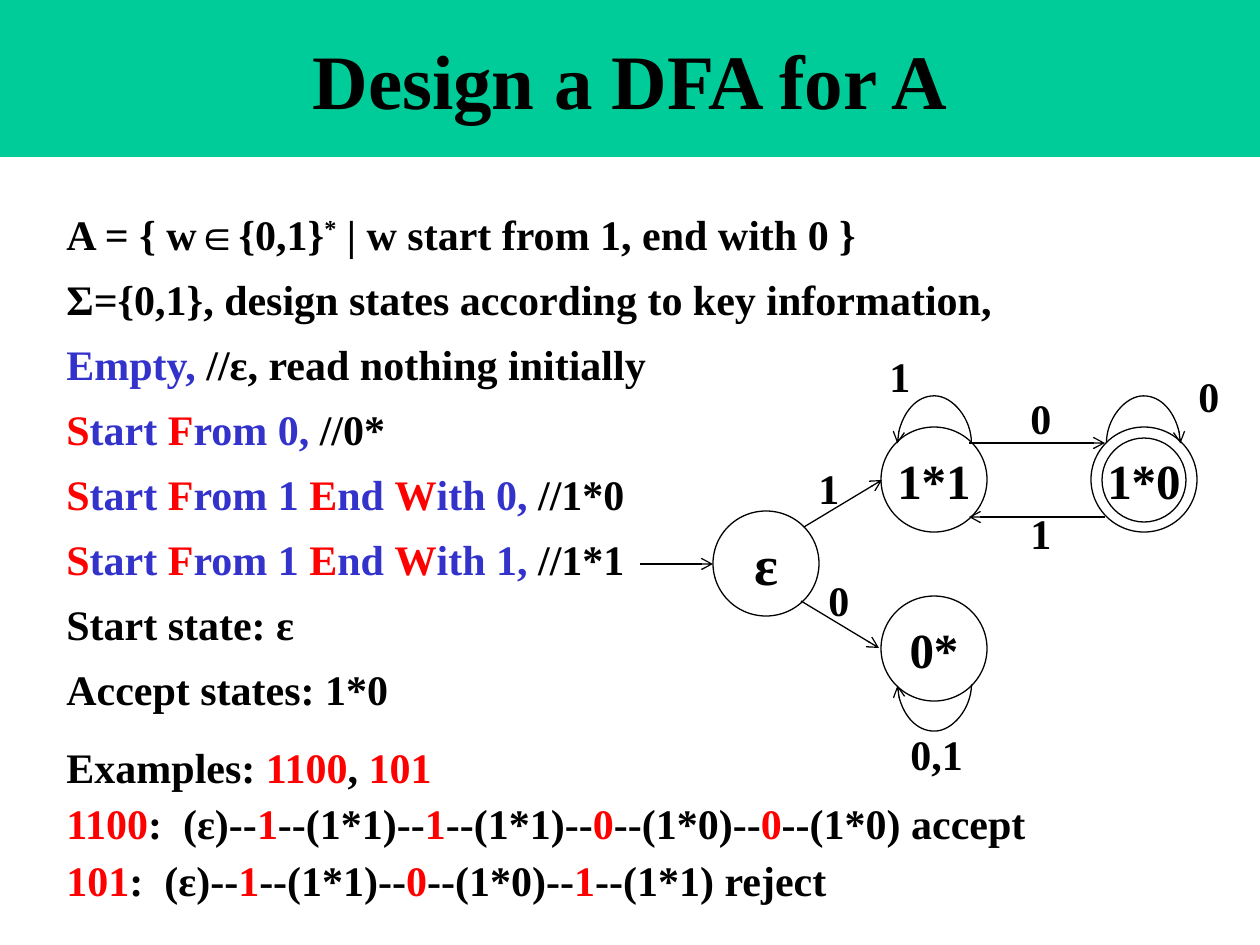
from itertools import groupby

from lxml.etree import SubElement
from pptx import Presentation
from pptx.dml.color import RGBColor
from pptx.enum.shapes import MSO_CONNECTOR as LINK, MSO_SHAPE as SHAPE
from pptx.enum.text import MSO_ANCHOR as ANCHOR, MSO_AUTO_SIZE as FIT, PP_ALIGN as ALIGN
from pptx.oxml.ns import qn
from pptx.util import Emu, Pt

COLORS = {"banner": "00CC99", "ink": "000000", "key": "3333CC", "accent": "FF0000"}
FONT = "Times New Roman"
STATE_W, STATE_H = 106, 105
LOOP_HALF, LOOP_BULGE = 37, 47


def px(length):
    return Emu(round(length * 914400 / 126))


def color(name):
    return RGBColor.from_string(COLORS[name])


def add_run(paragraph, text, size, tint="ink", raised=False):
    run = paragraph.add_run()
    run.text = text
    run.font.name = FONT
    run.font.size = Pt(size)
    run.font.bold = True
    run.font.color.rgb = color(tint)
    if raised:
        run.font._element.set("baseline", "30000")


def add_text(slide, box, lines, gap=0, wrap=False):
    frame = slide.shapes.add_textbox(*map(px, box)).text_frame
    frame.word_wrap = wrap
    frame.auto_size = FIT.SHAPE_TO_FIT_TEXT
    for index, pieces in enumerate(lines):
        paragraph = frame.paragraphs[0] if index == 0 else frame.add_paragraph()
        if index:
            paragraph.space_before = Pt(gap)
        for piece in pieces:
            add_run(paragraph, piece[0], 24, *piece[1:])


def add_label(slide, left, top, text, width=57):
    add_text(slide, (left, top, width, 63), [[(text,)]])


def add_banner(slide, title):
    banner = slide.shapes.add_shape(SHAPE.RECTANGLE, 0, 0, px(1260), px(157))
    banner.shadow.inherit = False
    banner.fill.solid()
    banner.fill.fore_color.rgb = color("banner")
    banner.line.fill.background()
    banner.text_frame.vertical_anchor = ANCHOR.MIDDLE
    paragraph = banner.text_frame.paragraphs[0]
    paragraph.alignment = ALIGN.CENTER
    add_run(paragraph, title, 44)


def add_circle(slide, left, top, width, height):
    circle = slide.shapes.add_shape(SHAPE.OVAL, px(left), px(top), px(width), px(height))
    circle.shadow.inherit = False
    circle.fill.background()
    circle.line.color.rgb = color("ink")
    circle.line.width = Pt(0.75)
    return circle


def add_state(slide, left, top, name, size=28):
    frame = add_circle(slide, left, top, STATE_W, STATE_H).text_frame
    frame.margin_left = frame.margin_right = frame.margin_top = frame.margin_bottom = 0
    frame.word_wrap = False
    frame.vertical_anchor = ANCHOR.MIDDLE
    frame.paragraphs[0].alignment = ALIGN.CENTER
    add_run(frame.paragraphs[0], name, size)


def add_arrow(slide, start, end, kind=LINK.STRAIGHT):
    arrow = slide.shapes.add_connector(kind, *map(px, (*start, *end)))
    arrow.line.color.rgb = color("ink")
    arrow.line.width = Pt(0.75)
    SubElement(arrow.line._get_or_add_ln(), qn("a:tailEnd"), type="arrow")
    SubElement(arrow._element.spPr, qn("a:effectLst"))
    return arrow


def add_loop(slide, x, y, from_right, above):
    turn = 270 if from_right and above else 90
    half = LOOP_HALF if above else -LOOP_HALF
    begin_x, end_x = (x + 1, x) if turn == 270 else (x, x + 1)
    loop = add_arrow(slide, (begin_x, y + half), (end_x, y - half), LINK.CURVE)
    properties = loop._element.spPr
    properties.find(qn("a:xfrm")).set("rot", str(turn * 60000))
    adjustments = properties.find(qn("a:prstGeom")).get_or_add_avLst()
    bulge = -LOOP_BULGE if above else LOOP_BULGE
    SubElement(adjustments, qn("a:gd"), name="adj1", fmla=f"val {bulge * 100000}")


def key_line(phrase, note):
    groups = ((upper, "".join(letters)) for upper, letters in groupby(phrase, str.isupper))
    return [(text, "accent" if upper else "key") for upper, text in groups] + [(note,)]


def trace_line(word, states, verdict):
    pieces = [(word, "accent"), (":  (ε)--",)]
    for index, (symbol, state) in enumerate(zip(word, states), 1):
        ending = f" {verdict}" if index == len(word) else "--"
        pieces += [(symbol, "accent"), (f"--({state}){ending}",)]
    return pieces


def add_design_notes(slide):
    add_text(slide, (54, 202, 968, 515), [
        [("A = { w∈{0,1}",), ("*", "ink", True), (" | w start from 1, end with 0 }",)],
        [("Σ={0,1}, design states according to key information,",)],
        [("Empty, ", "key"), ("//ε, read nothing initially",)],
        key_line("Start From 0, ", "//0*"),
        key_line("Start From 1 End With 0, ", "//1*0"),
        key_line("Start From 1 End With 1, ", "//1*1"),
        [("Start state: ε",)],
        [("Accept states: 1*0",)],
    ], gap=8.4)


def add_examples(slide):
    add_text(slide, (54, 735, 1042, 170), [
        [("Examples: ",), ("1100", "accent"), (", ",), ("101", "accent")],
        trace_line("1100", ["1*1", "1*1", "1*0", "1*0"], "accept"),
        trace_line("101", ["1*1", "1*0", "1*1"], "reject"),
    ], gap=3.5, wrap=True)


def add_automaton(slide):
    add_state(slide, 713, 511, "ε", 32)
    add_state(slide, 881, 596, "0*")
    add_state(slide, 1091, 427, "1*0")
    add_state(slide, 881, 427, "1*1")
    add_circle(slide, 1102, 438, 84, 84)

    for start, end in [
        ((640, 564), (713, 564)),
        ((801, 601), (879, 648)),
        ((804, 527), (882, 480)),
        ((969, 443), (1105, 443)),
        ((1105, 517), (969, 517)),
    ]:
        add_arrow(slide, start, end)

    add_loop(slide, 934, 443, from_right=True, above=True)
    add_loop(slide, 1143, 443, from_right=False, above=True)
    add_loop(slide, 934, 685, from_right=True, above=False)

    for left, top, symbol in [
        (816, 568, "0"), (877, 344, "1"), (1018, 501, "1"),
        (1018, 386, "0"), (806, 456, "1"), (1186, 364, "0"),
    ]:
        add_label(slide, left, top, symbol)
    add_label(slide, 898, 722, "0,1", 88)


def main():
    deck = Presentation()
    deck.slide_width, deck.slide_height = px(1260), px(945)
    slide = deck.slides.add_slide(deck.slide_layouts[6])
    add_banner(slide, "Design a DFA for A")
    add_design_notes(slide)
    add_automaton(slide)
    add_examples(slide)
    deck.save("out.pptx")


if __name__ == "__main__":
    main()
